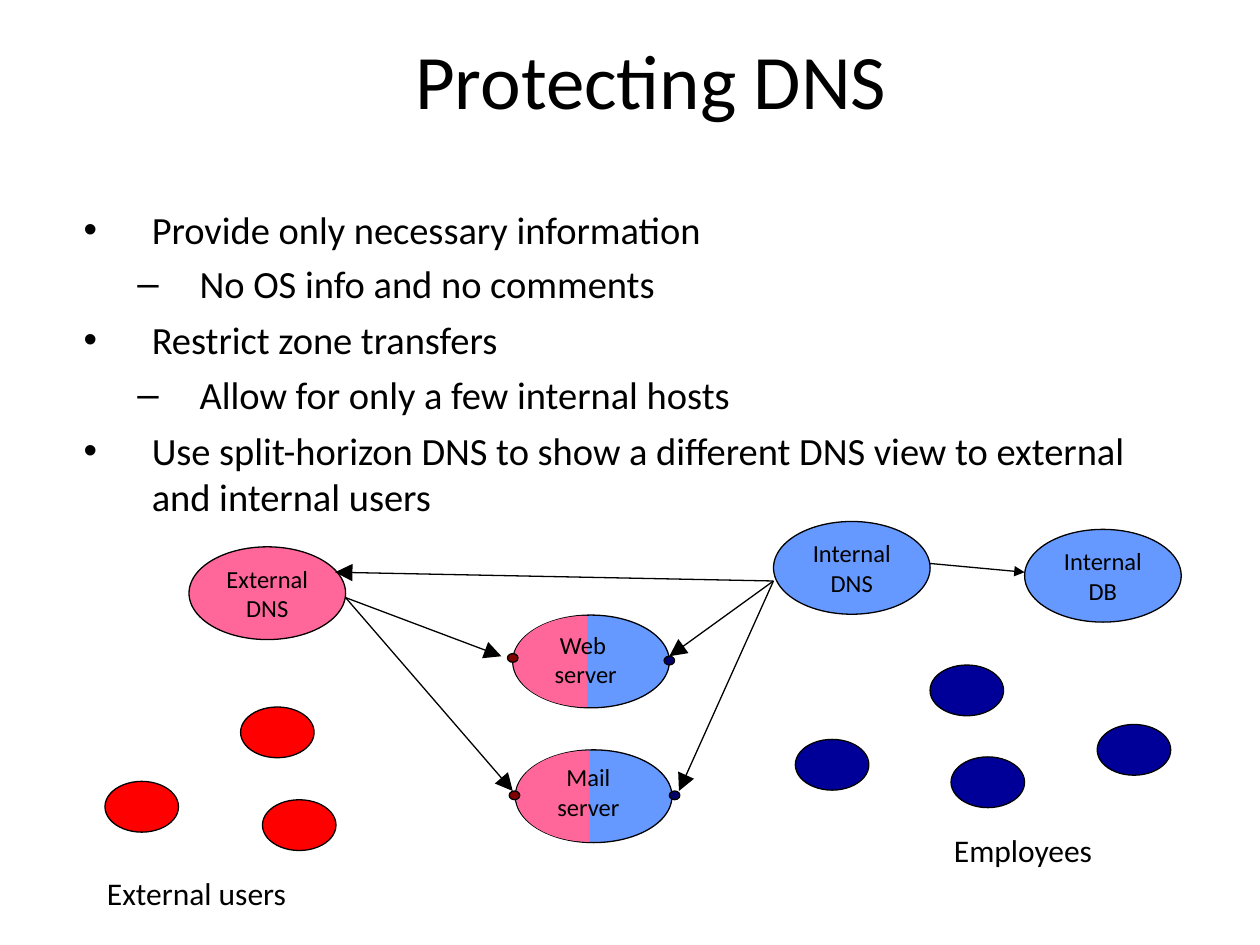
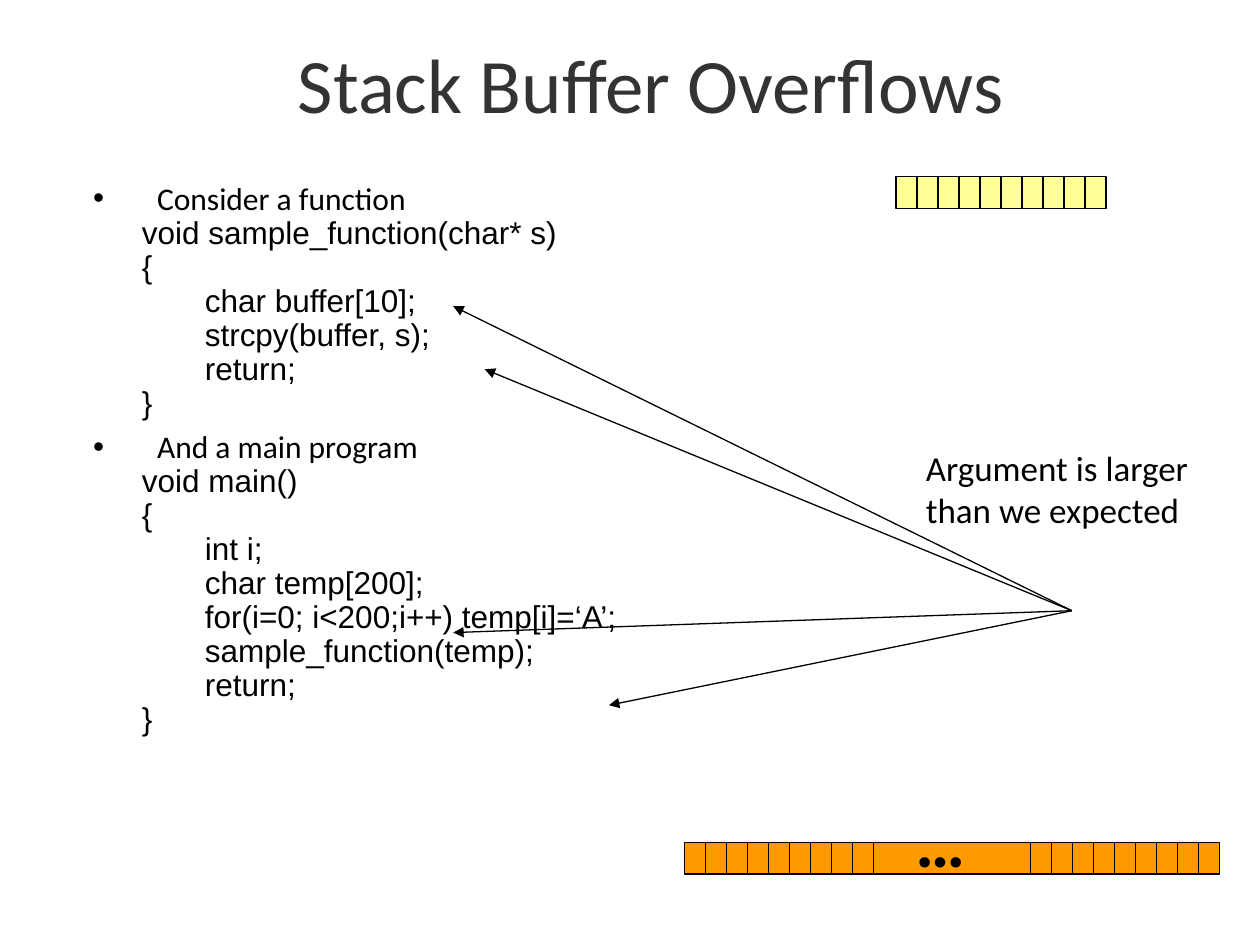
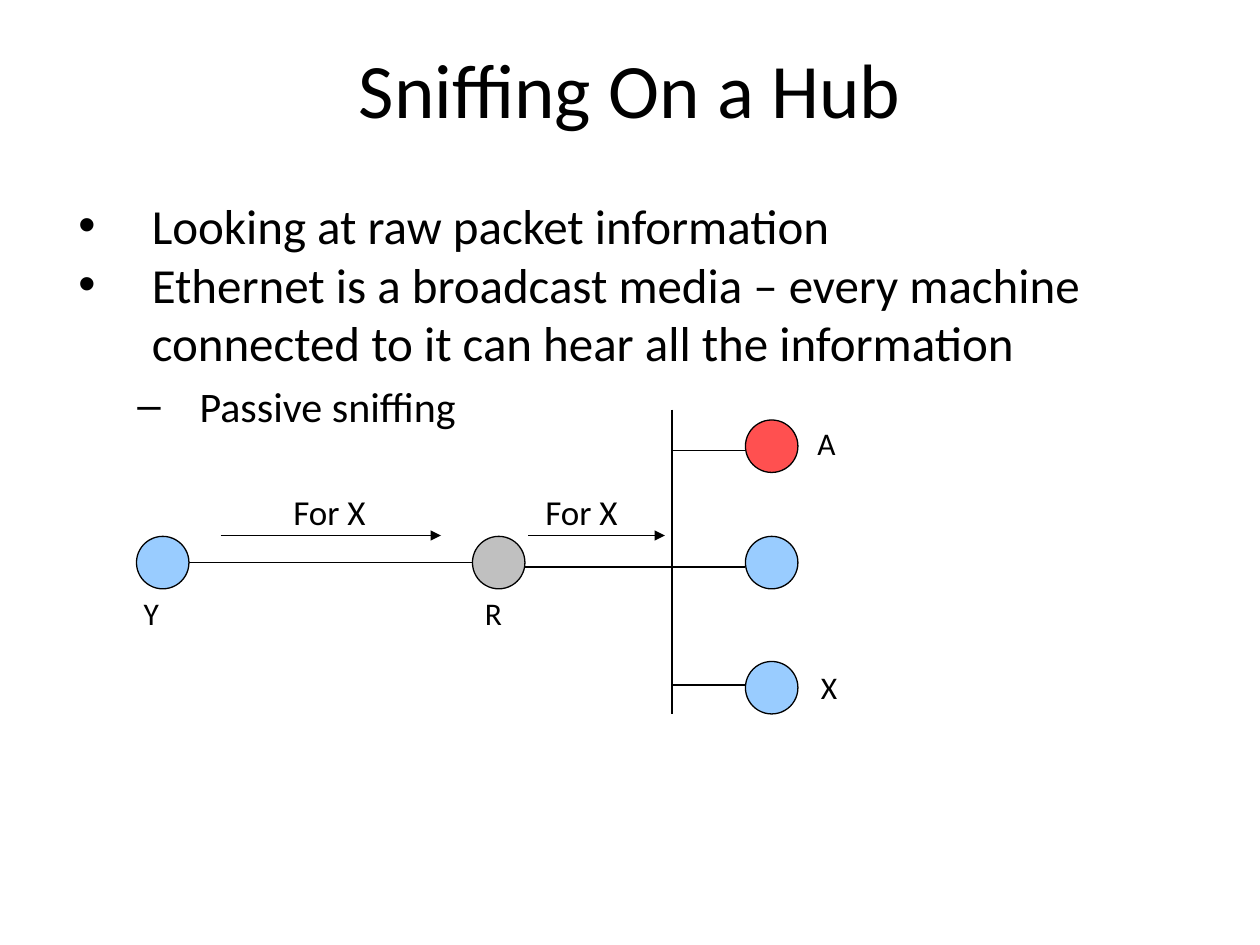
from math import cos, pi, sin
from lxml.etree import SubElement as Sub
from pptx import Presentation
from pptx.dml.color import RGBColor as Rgb
from pptx.enum.shapes import MSO_CONNECTOR as Link, MSO_SHAPE as Form
from pptx.enum.text import MSO_ANCHOR as Anchor, MSO_AUTO_SIZE as Fit, PP_ALIGN as Align
from pptx.oxml.ns import qn
from pptx.util import Pt

BLACK = Rgb(0x00, 0x00, 0x00)
GRAY = Rgb(0x33, 0x33, 0x33)
BLUE = Rgb(0x66, 0x99, 0xFF)
PINK = Rgb(0xFF, 0x66, 0x99)
NAVY = Rgb(0x00, 0x00, 0x99)
RED = Rgb(0xFF, 0x00, 0x00)
DARK = Rgb(0x00, 0x00, 0x66)
MAROON = Rgb(0x80, 0x00, 0x00)
YELLOW = Rgb(0xFF, 0xFF, 0x99)
ORANGE = Rgb(0xFF, 0x99, 0x00)
SKY = Rgb(0x99, 0xCC, 0xFF)
CORAL = Rgb(0xFF, 0x50, 0x50)
SILVER = Rgb(0xC0, 0xC0, 0xC0)
FONT, CODE = "Calibri", "Arial"

# Body lines: kind, text, space before
DNS_BODY = [
    ("dot", "Provide only necessary information", 0),
    ("dash", "No OS info and no comments", 4.8),
    ("dot", "Restrict zone transfers", 5.6),
    ("dash", "Allow for only a few internal hosts", 4.8),
    ("dot", "Use split-horizon DNS to show a different DNS view to external and internal users", 5.6),
]
STACK_BODY = [
    ("dot", "Consider a function", 0),
    ("code", "void sample_function(char* s)", 0),
    ("code", "{", 0),
    ("code", "\tchar buffer[10];", 0),
    ("code", "\tstrcpy(buffer, s);", 0),
    ("code", "\treturn;", 0),
    ("code", "}", 0),
    ("dot", "And a main program", 5.6),
    ("code", "void main()", 0),
    ("code", "{", 0),
    ("code", "\tint i;", 0),
    ("code", "\tchar temp[200];", 0),
    ("code", "\tfor(i=0; i<200;i++) temp[i]=‘A’;", 0),
    ("code", "\tsample_function(temp);", 0),
    ("code", "\treturn;", 0),
    ("code", "}", 0),
]
HUB_BODY = [
    ("dot", "Looking at raw packet information", 0),
    ("dot", "Ethernet is a broadcast media – every machine connected to it can hear all the information", 0),
    ("dash", "Passive sniffing", 4.8),
]

# Slide 1: host ovals, users, ports and arrows
HOST, USER, PORT = (89.5, 53), (42, 29), (6, 5)
HOSTS = [
    (442, 298, BLUE, "Internal\nDNS"),
    (585.5, 302.5, BLUE, "Internal\nDB"),
    (108, 312.5, PINK, "External\nDNS"),
]
SERVERS = [
    (293, 351.5, "Web \nserver", (303, 356.5)),
    (294.5, 428.5, "Mail\nserver", (304.5, 432)),
]
STAFF = [(531.5, 380), (543.5, 432.5), (454.5, 422.5), (627, 414)]
GUESTS = [(137.5, 404), (150, 457), (60, 446.5)]
INNER = [(379.5, 375), (382.5, 452)]
OUTER = [(291, 452), (290, 373.5)]
OUT_DNS, IN_DNS = (197.5, 341.5), (442, 332)
QUERIES = [
    (OUT_DNS, (286.5, 375)),
    (OUT_DNS, (293, 452)),
    (IN_DNS, (382.5, 375)),
    (IN_DNS, (388, 452)),
    (IN_DNS, (191.5, 327)),
]

# Slide 2: argument arrows and buffer strips
ARG = (612.5, 349)
USES = [(259, 361.5), (348, 403), (259, 175), (277, 211)]
CELL, CUTS = 12, 9
STRIPS = [(512, 101, 120, YELLOW), (391, 481.5, 306, ORANGE)]

# Slide 3: nodes, wires, packets and names
NODE = (30, 30)
NODES = [
    (78, 306.5, SKY),
    (426, 240, CORAL),
    (426, 306.5, SKY),
    (426, 378, SKY),
    (270, 306.5, SILVER),
]
HUB = 384
WIRES = [
    ((108, 321.5), (270, 321.5)),
    ((HUB, 234), (HUB, 408)),
    ((300, 324), (HUB, 324)),
] + [((426, y), (HUB, y)) for y in (257.5, 324, 391.5)]
PACKETS = [((126, 306), (252, 306)), ((302, 306), (380, 306))]
NAMES = [
    (160.5, 277, 62, "For X", 20),
    (304.5, 277, 62, "For X", 20),
    (462, 378, 32, "X", 18),
    (460, 239, 32, "A", 18),
    (270, 336, 32, "R", 18),
    (75, 336, 32, "Y", 18),
]


def style(para, size, color=BLACK, font=FONT, bold=False):
    for run in para.runs:
        run.font.size = Pt(size)
        run.font.name = font
        run.font.color.rgb = color
        run.font.bold = bold


def start(deck, title, box, color=BLACK):
    slide = deck.slides.add_slide(deck.slide_layouts[5])
    head = slide.shapes.title
    head.left, head.top, head.width, head.height = map(Pt, box)
    frame = head.text_frame
    frame.text = title
    frame.auto_size = Fit.NONE
    frame.vertical_anchor = Anchor.MIDDLE
    frame.margin_left = frame.margin_right = frame.margin_top = frame.margin_bottom = 0
    frame.paragraphs[0].alignment = Align.CENTER
    style(frame.paragraphs[0], 44, color)
    return slide.shapes


def bullet(para, mark, left, hang):
    """Set the indents and, where there is a mark, the bullet."""
    prop = para._p.get_or_add_pPr()
    prop.set("marL", str(Pt(left)))
    prop.set("indent", str(Pt(-hang)))
    if mark:
        Sub(Sub(prop, qn("a:buClr")), qn("a:srgbClr")).set("val", str(BLACK))
        Sub(prop, qn("a:buFont")).set("typeface", "Arial")
        Sub(prop, qn("a:buChar")).set("char", mark)
    else:
        Sub(prop, qn("a:buNone"))


def body(shapes, lines, box, size, hang, sub=None, pitch=None):
    """Write the lines; sub is the size of dash lines, hang that of dot lines."""
    kinds = {
        "dot": ("•", 49.7, hang, size, FONT),
        "dash": ("–", 77, 35.5, sub or size, FONT),
        "code": (None, 77, 36, size, CODE),
    }
    frame = shapes.add_textbox(*map(Pt, box)).text_frame
    frame.word_wrap = True
    for num, (kind, text, gap) in enumerate(lines):
        para = frame.add_paragraph() if num else frame.paragraphs[0]
        mark, left, dent, pts, font = kinds[kind]
        para.text = text
        para.level = 0 if kind == "dot" else 1
        para.space_before = Pt(gap)
        if pitch:
            para.line_spacing = pitch
        bullet(para, mark, left, dent)
        style(para, pts, font=font)


def label(shapes, text, box, size, align=Align.LEFT, bold=False):
    frame = shapes.add_textbox(*map(Pt, box)).text_frame
    frame.word_wrap = True
    para = frame.paragraphs[0]
    para.text = text
    para.alignment = align
    style(para, size, bold=bold)


def paint(shape, fill, edge=True):
    shape.shadow.inherit = False
    shape.fill.solid()
    shape.fill.fore_color.rgb = fill
    if edge:
        shape.line.color.rgb = BLACK
        shape.line.width = Pt(0.75)
    else:
        shape.line.fill.background()


def oval(shapes, spot, size, fill, text=""):
    shape = shapes.add_shape(Form.OVAL, *map(Pt, (*spot, *size)))
    paint(shape, fill)
    if text:
        frame = shape.text_frame
        frame.word_wrap = False
        frame.vertical_anchor = Anchor.MIDDLE
        para = frame.paragraphs[0]
        para.text = text
        para.alignment = Align.CENTER
        style(para, 14)


def half(shapes, left, top):
    """Cover the left half of a host oval, just inside its outline."""
    wide, high = 42, HOST[1] / 2
    mid, steps = top + high, 32
    turns = [pi * n / steps for n in range(steps + 1)]
    dots = [(left + 0.4 + wide * (1 - sin(t)), mid - (high - 0.4) * cos(t)) for t in turns]
    pen = shapes.build_freeform(*map(Pt, dots[0]))
    pen.add_line_segments([(Pt(x), Pt(y)) for x, y in dots[1:]], close=True)
    paint(pen.convert_to_shape(), PINK, edge=False)


def line(shapes, start, end, head=None):
    """Draw a line; head is the size of its arrowhead, if any."""
    link = shapes.add_connector(Link.STRAIGHT, *map(Pt, (*start, *end)))
    link.line.color.rgb = BLACK
    link.line.width = Pt(0.75)
    if head:
        tail = Sub(link.line._get_or_add_ln(), qn("a:tailEnd"))
        for key, val in (("type", "triangle"), ("w", head), ("len", head)):
            tail.set(key, val)
    Sub(link._element.spPr, qn("a:effectLst"))


def strip(shapes, left, top, wide, fill):
    """Draw a buffer, cut into cells from both ends."""
    high = 18
    paint(shapes.add_shape(Form.RECTANGLE, *map(Pt, (left, top, wide, high))), fill)
    cuts = {left + CELL * n for n in range(1, CUTS + 1)}
    cuts |= {left + wide - CELL * n for n in range(1, CUTS + 1)}
    for x in sorted(cuts):
        line(shapes, (x, top), (x, top + high))


def dns(deck):
    shapes = start(deck, "Protecting DNS", (54, 0, 636, 90))
    body(shapes, DNS_BODY, (30, 114, 654, 420), 22, 39)
    for x, y, fill, text in HOSTS:
        oval(shapes, (x, y), HOST, fill, text)
    for x, y, text, spot in SERVERS:
        oval(shapes, (x, y), HOST, BLUE)
        half(shapes, x, y)
        label(shapes, text, (*spot, 63.5, 44.5), 14, Align.CENTER)
    groups = [(STAFF, USER, NAVY), (GUESTS, USER, RED), (INNER, PORT, DARK), (OUTER, PORT, MAROON)]
    for spots, size, fill in groups:
        for spot in spots:
            oval(shapes, spot, size, fill)
    label(shapes, "Employees", (538, 471.5, 120, 29), 18)
    label(shapes, "External users", (54, 496, 150.5, 29), 18)
    for tail, tip in QUERIES:
        line(shapes, tail, tip, "lg")
    line(shapes, (531.5, 322), (585.5, 327), "med")


def stack(deck):
    shapes = start(deck, "Stack Buffer Overflows", (54, 2, 636, 90), GRAY)
    body(shapes, STACK_BODY, (33, 101, 654, 408), 18, 36.5, pitch=0.9)
    for tip in USES:
        line(shapes, ARG, tip, "med")
    label(shapes, "Argument is larger\nthan we expected", (522, 251.5, 166, 55.5), 20)
    for row in STRIPS:
        strip(shapes, *row)
    label(shapes, "…", (516, 452, 55, 55.5), 40, bold=True)


def hub(deck):
    shapes = start(deck, "Sniffing On a Hub", (30, 5, 660, 90))
    body(shapes, HUB_BODY, (30, 108, 654, 408), 28, 42, sub=24)
    for x, y, fill in NODES:
        oval(shapes, (x, y), NODE, fill)
    for ends in WIRES:
        line(shapes, *ends)
    for ends in PACKETS:
        line(shapes, *ends, "med")
    for x, y, wide, text, size in NAMES:
        label(shapes, text, (x, y, wide, 31), size)


def main():
    deck = Presentation()
    deck.slide_width, deck.slide_height = Pt(720), Pt(540)
    for build in (dns, stack, hub):
        build(deck)
    deck.save("out.pptx")


if __name__ == "__main__":
    main()
